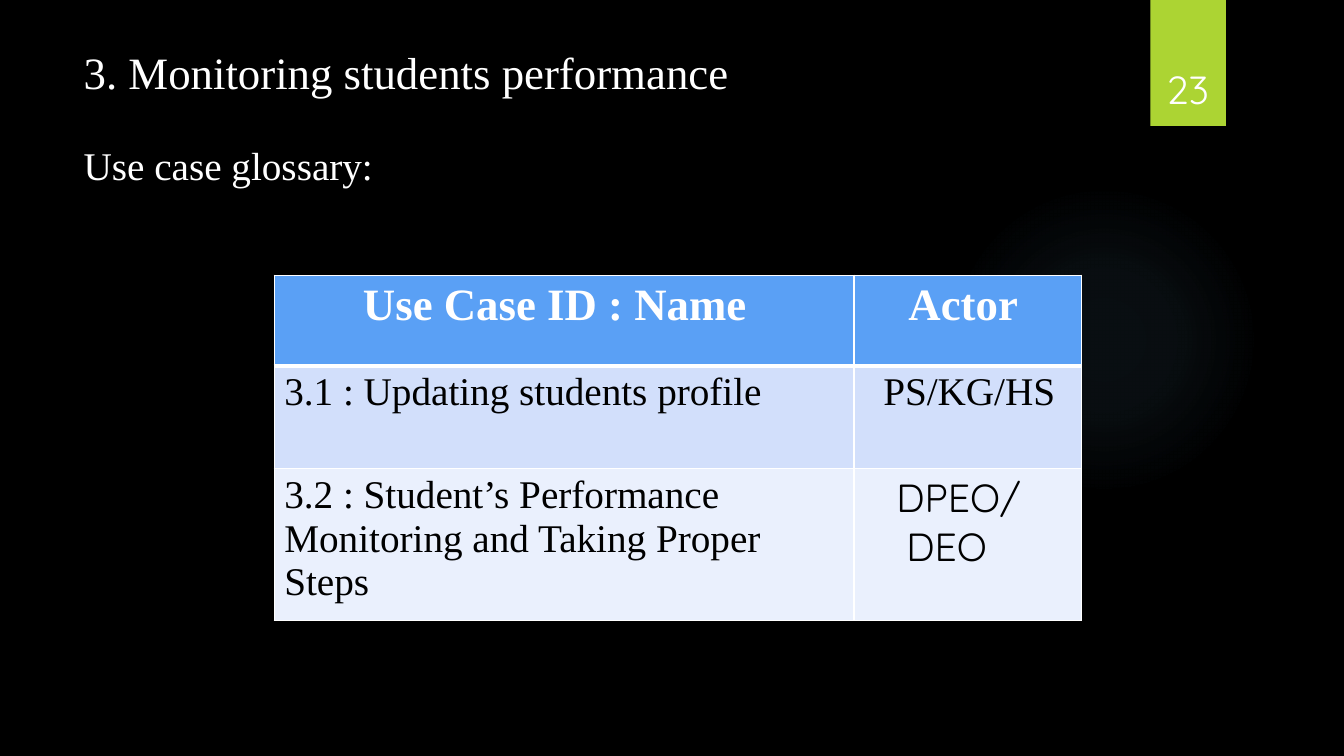
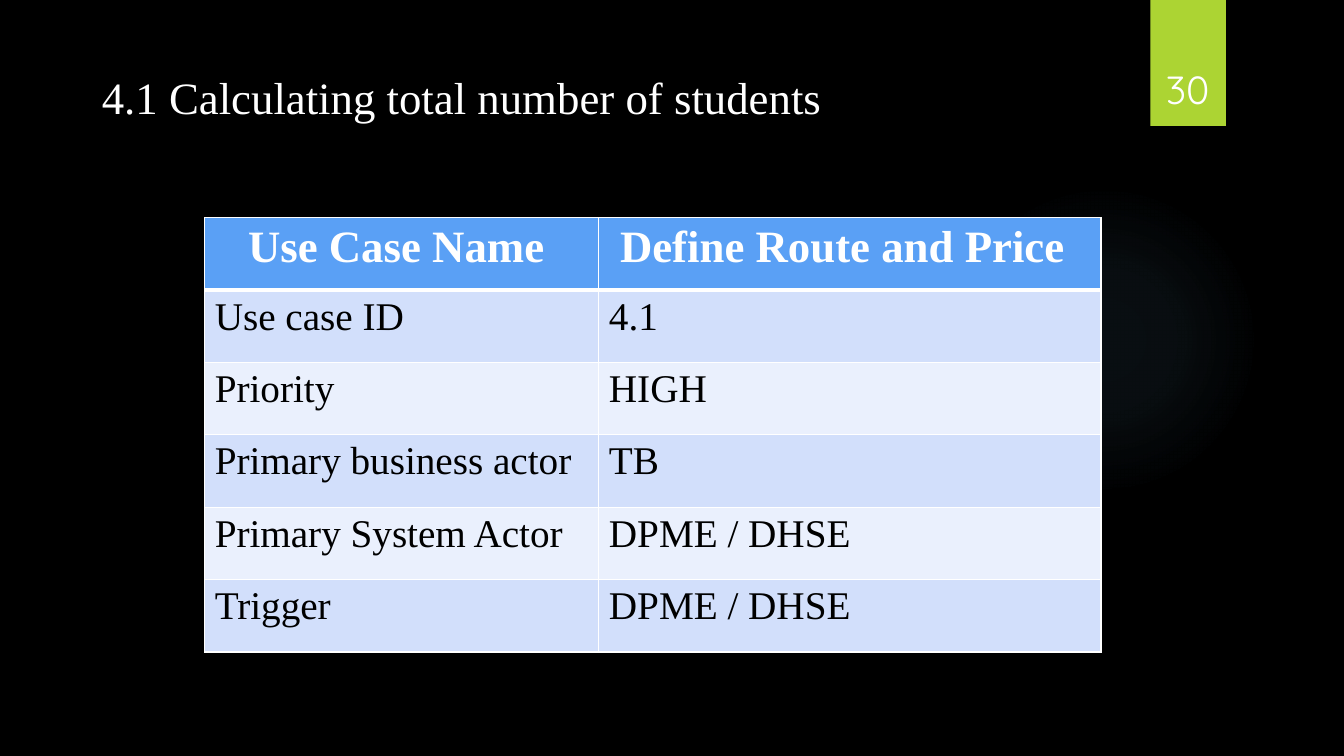
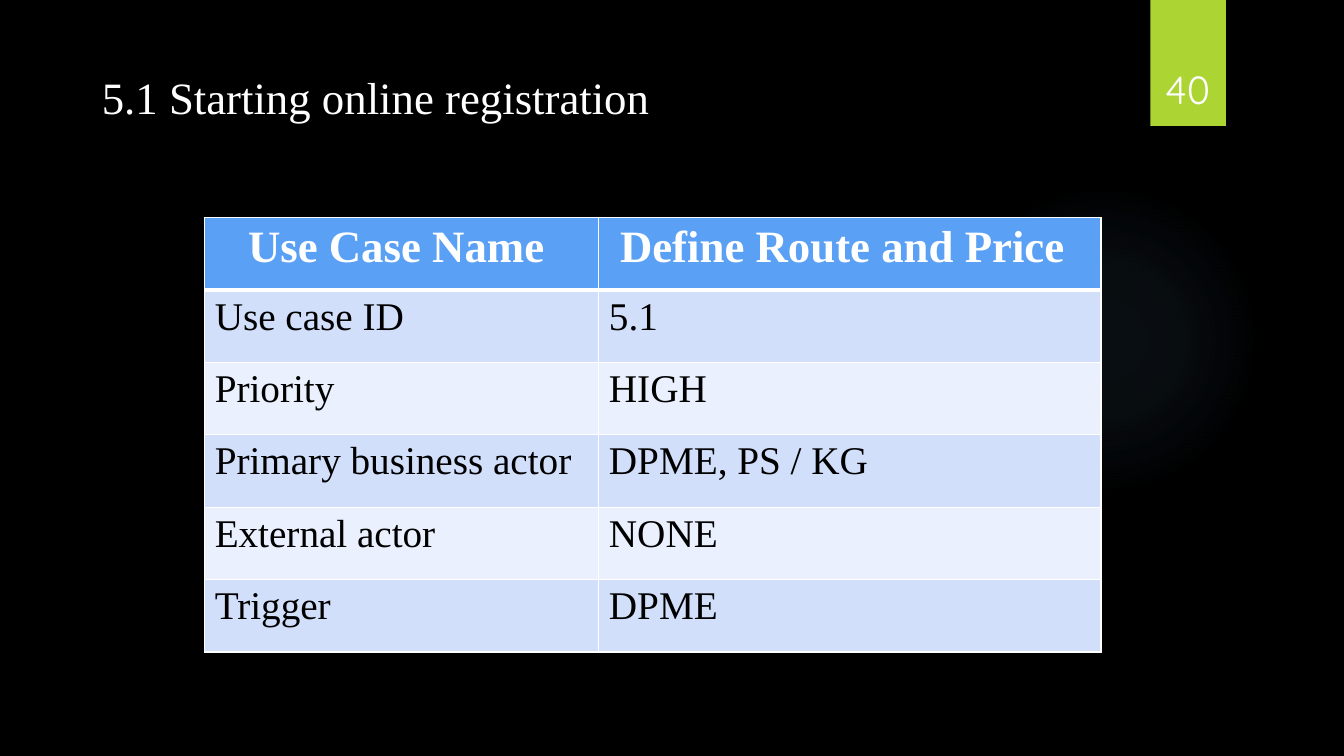
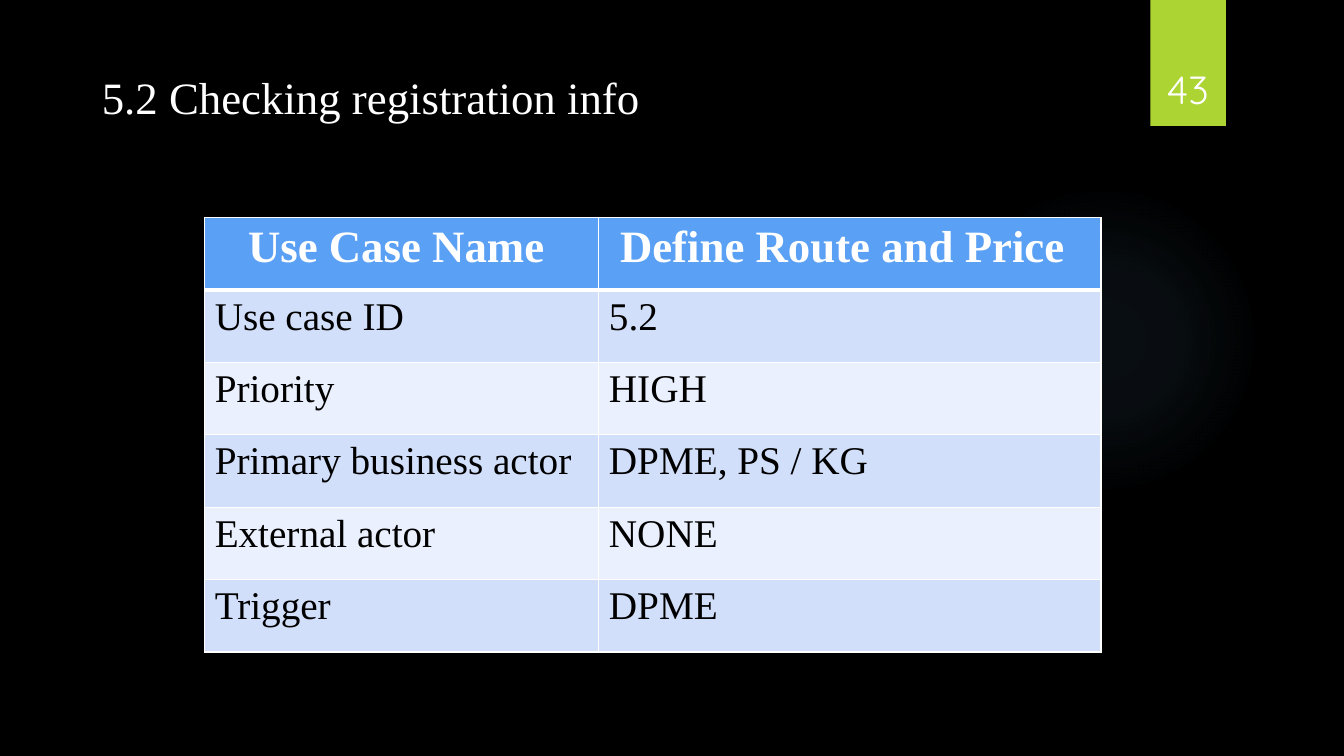
from pptx import Presentation
from pptx.dml.color import RGBColor
from pptx.enum.shapes import MSO_SHAPE
from pptx.enum.text import MSO_ANCHOR, MSO_AUTO_SIZE, PP_ALIGN
from pptx.oxml import parse_xml
from pptx.oxml.ns import nsdecls
from pptx.util import Inches, Pt

LEFT, CENTER = PP_ALIGN.LEFT, PP_ALIGN.CENTER
TOP, BOTTOM = MSO_ANCHOR.TOP, MSO_ANCHOR.BOTTOM
FIXED = MSO_AUTO_SIZE.NONE
OVAL, RECTANGLE = MSO_SHAPE.OVAL, MSO_SHAPE.RECTANGLE
TITLE_AND_BODY, TITLE_ONLY = 1, 5

COLORS = {
    "background": "000000",
    "light_text": "FFFFFF",
    "dark_text": "000000",
    "glow": "7AC4F0",
    "band": "ACD433",
    "header": "5AA0F5",
    "odd_row": "D2DFFB",
    "even_row": "EAF0FD",
    "border": "FFFFFF",
}
SERIF, SANS = "Times New Roman", "Quicksand"
LARGE, MEDIUM = 32, 28
GLOW_STOPS = [(0, 7), (36, 6), (69, 0)]  # position and opacity, percent

GLOW_BOX = (9.41, 1.83, 3.08, 3.08)
BAND_BOX = (11.41, 0, 0.75, 1.25)
NUMBER_BOX = (11.32, 0.32, 0.92, 0.84)
TITLE_BOX = (0.91, 0.64, 9.66, 0.64)
SECTION_BOX = (0.73, 0.39, 9.85, 0.64)
SUBTITLE_BOX = (0.73, 1.35, 9.85, 0.62)
GLOSSARY_BOX = (2.72, 2.73, 8.01, 3.43)
DETAILS_BOX = (2.03, 2.16, 8.89, 4.31)

# A table cell is a list of (text, indent in inches, font) lines.
GLOSSARY = [
    [[("Use Case ID : Name", 0.78, SERIF)], [("Actor", 0.44, SERIF)]],
    [[("3.1 : Updating students profile", 0, SERIF)],
     [("PS/KG/HS", 0.19, SERIF)]],
    [[("3.2 : Student’s Performance Monitoring and Taking Proper Steps",
       0, SERIF)],
     [("DPEO/", 0.32, SANS), ("DEO", 0.42, SANS)]],
]
DETAILS_HEADER = [[("Use Case Name", 0.33, SERIF)],
                  [("Define Route and Price", 0.11, SERIF)]]

DETAILS = [
    ("4.1 Calculating total number of students", "30", [
        ("Use case ID", "4.1"),
        ("Priority", "HIGH"),
        ("Primary business actor", "TB"),
        ("Primary System Actor", "DPME / DHSE"),
        ("Trigger", "DPME / DHSE")]),
]
for heading, number in [("5.1 Starting online registration", "40"),
                        ("5.2 Checking registration info", "43")]:
    DETAILS.append((heading, number, [
        ("Use case ID", heading.split()[0]),
        ("Priority", "HIGH"),
        ("Primary business actor", "DPME, PS / KG"),
        ("External actor", "NONE"),
        ("Trigger", "DPME")]))


def color(name):
    """Return the named colour."""
    return RGBColor.from_string(COLORS[name])


def inches(box):
    """Turn a box of plain numbers into lengths."""
    return [Inches(value) for value in box]


def write(para, text, size, font=SERIF, tone="light_text", bold=False,
          align=LEFT, indent=0):
    """Add one formatted run to a paragraph without a bullet."""
    para.alignment = align
    para.space_before = Pt(0)
    properties = para._p.get_or_add_pPr()
    properties.set("marL", str(Inches(indent)))
    properties.set("indent", "0")
    properties.append(parse_xml(f"<a:buNone {nsdecls('a')}/>"))
    span = para.add_run()
    span.text = text
    span.font.name = font
    span.font.size = Pt(size)
    span.font.bold = bold
    span.font.color.rgb = color(tone)


def fill_placeholder(holder, box, text, size):
    """Move a placeholder to the box and write its line."""
    holder.left, holder.top, holder.width, holder.height = inches(box)
    frame = holder.text_frame
    frame.auto_size = FIXED
    frame.word_wrap = True
    frame.vertical_anchor = TOP
    write(frame.paragraphs[0], text, size)


def add_plain_shape(page, kind, box):
    """Add a shape without line or shadow."""
    shape = page.shapes.add_shape(kind, *inches(box))
    shape.shadow.inherit = False
    shape.line.fill.background()
    return shape


def add_glow(page, box):
    """Add the soft round glow."""
    glow = add_plain_shape(page, OVAL, box)
    stops = "".join(
        f'<a:gs pos="{position * 1000}"><a:srgbClr val="{COLORS["glow"]}">'
        f'<a:alpha val="{opacity * 1000}"/></a:srgbClr></a:gs>'
        for position, opacity in GLOW_STOPS)
    gradient = parse_xml(
        f'<a:gradFill {nsdecls("a")}><a:gsLst>{stops}</a:gsLst>'
        '<a:path path="circle"><a:fillToRect l="50000" t="50000" '
        'r="50000" b="50000"/></a:path></a:gradFill>')
    glow.fill.background()
    properties = glow._element.spPr
    properties.replace(properties.find("{*}noFill"), gradient)
    return glow


def add_band(page, box):
    """Add the green band behind the page number."""
    band = add_plain_shape(page, RECTANGLE, box)
    band.fill.solid()
    band.fill.fore_color.rgb = color("band")
    return band


def dress_master(deck, page):
    """Give the slide master its background, glow and band."""
    master = deck.slide_master
    master.background.fill.solid()
    master.background.fill.fore_color.rgb = color("background")
    parts = [add_glow(page, GLOW_BOX), add_band(page, BAND_BOX)]
    for place, part in enumerate(parts, start=2):
        master.shapes._spTree.insert(place, part._element)


def add_number(page, box, number):
    """Write the page number at the foot of the band."""
    frame = page.shapes.add_textbox(*inches(box)).text_frame
    frame.word_wrap = True
    frame.vertical_anchor = BOTTOM
    write(frame.paragraphs[0], number, MEDIUM, font=SANS, align=CENTER)


def set_borders(cell, top, bottom):
    """Draw the four borders of a cell, widths in points."""
    properties = cell._tc.get_or_add_tcPr()
    sides = [("L", 1), ("R", 1), ("T", top), ("B", bottom)]
    for place, (side, width) in enumerate(sides):
        properties.insert(place, parse_xml(
            f'<a:ln{side} {nsdecls("a")} w="{Pt(width)}"><a:solidFill>'
            f'<a:srgbClr val="{COLORS["border"]}"/></a:solidFill></a:ln{side}>'))


def add_grid(page, box, rows, widths, heights):
    """Add a table with a header row and alternating row colours."""
    grid = page.shapes.add_table(len(rows), len(widths), *inches(box)).table
    for column, width in zip(grid.columns, widths):
        column.width = Inches(width)
    for index, (lines_by_cell, height) in enumerate(zip(rows, heights)):
        grid.rows[index].height = Inches(height)
        header = index == 0
        fill = "header" if header else ("even_row", "odd_row")[index % 2]
        for place, lines in enumerate(lines_by_cell):
            cell = grid.cell(index, place)
            cell.fill.solid()
            cell.fill.fore_color.rgb = color(fill)
            set_borders(cell, 3 if index == 1 else 1, 3 if header else 1)
            frame = cell.text_frame
            for order, (text, indent, font) in enumerate(lines):
                para = frame.add_paragraph() if order else frame.paragraphs[0]
                write(para, text, LARGE if header else MEDIUM, font=font,
                      tone="light_text" if header else "dark_text",
                      bold=header, indent=indent)


def add_glossary_page(deck):
    """Add the section page with its glossary table."""
    page = deck.slides.add_slide(deck.slide_layouts[TITLE_AND_BODY])
    fill_placeholder(page.shapes.title, SECTION_BOX,
                     "3. Monitoring students performance", LARGE)
    fill_placeholder(page.placeholders[1], SUBTITLE_BOX,
                     "Use case glossary:", MEDIUM)
    add_grid(page, GLOSSARY_BOX, GLOSSARY, [5.75, 2.26], [0.9, 1.02, 1.51])
    add_number(page, NUMBER_BOX, "23")
    return page


def add_details_page(deck, heading, number, facts):
    """Add a page that describes one use case."""
    page = deck.slides.add_slide(deck.slide_layouts[TITLE_ONLY])
    fill_placeholder(page.shapes.title, TITLE_BOX, heading, LARGE)
    rows = [DETAILS_HEADER]
    rows += [[[(text, 0, SERIF)] for text in fact] for fact in facts]
    height = DETAILS_BOX[3] / len(rows)
    add_grid(page, DETAILS_BOX, rows, [3.91, 4.98], [height] * len(rows))
    add_number(page, NUMBER_BOX, number)


def main():
    """Build and save the deck."""
    deck = Presentation()
    deck.slide_width, deck.slide_height = Inches(13.33), Inches(7.5)
    dress_master(deck, add_glossary_page(deck))
    for heading, number, facts in DETAILS:
        add_details_page(deck, heading, number, facts)
    deck.save("out.pptx")


main()
